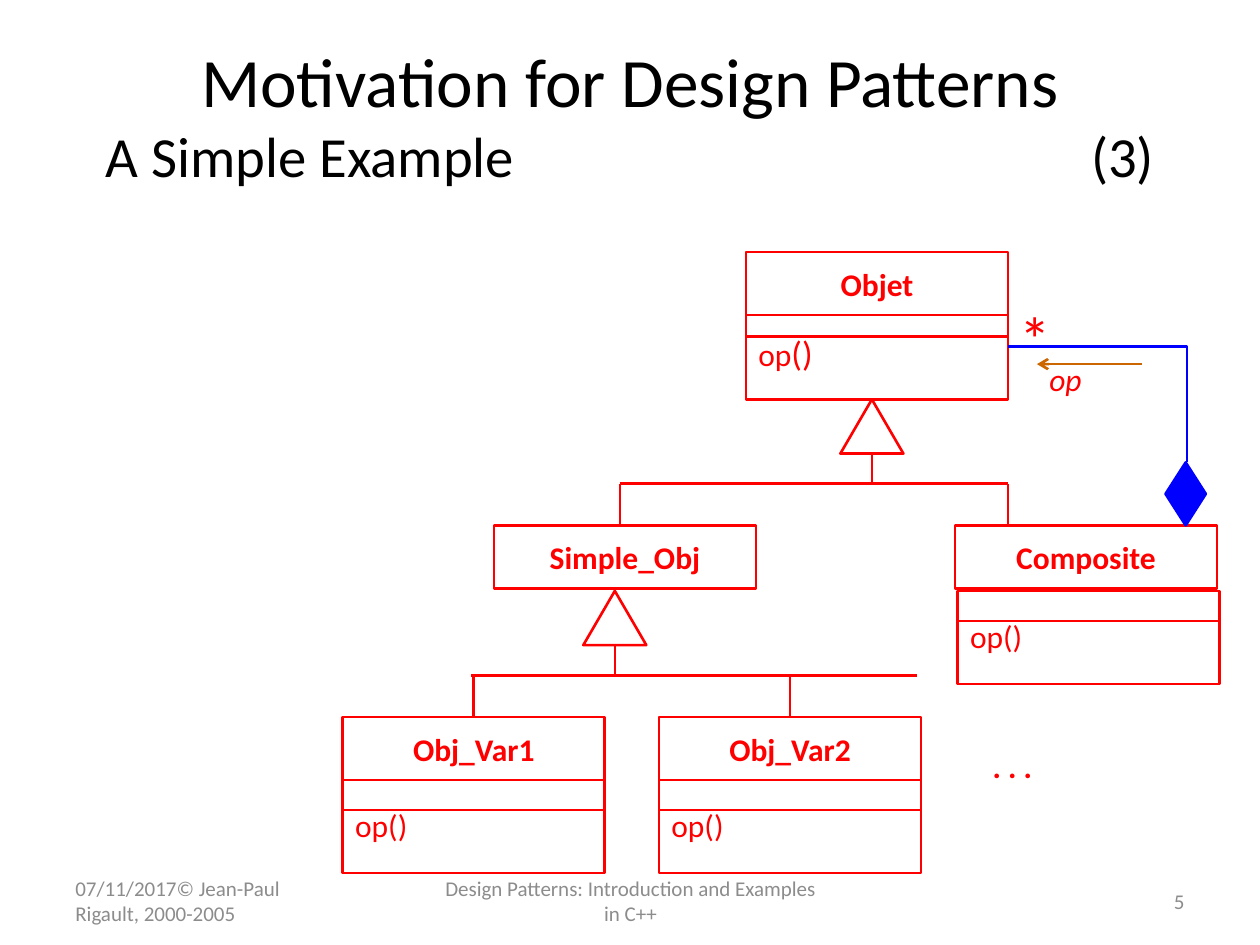
from dataclasses import dataclass

from lxml.etree import SubElement
from pptx import Presentation
from pptx.dml.color import RGBColor
from pptx.enum.shapes import MSO_CONNECTOR as Link, MSO_SHAPE as Preset
from pptx.enum.text import MSO_ANCHOR as Anchor, MSO_AUTO_SIZE as AutoSize, PP_ALIGN as Align
from pptx.oxml.ns import qn
from pptx.util import Pt

PX = 9144


@dataclass(frozen=True)
class Theme:
    font: str = "Calibri"
    ink: str = "000000"
    muted: str = "8C8C8C"
    uml: str = "FF0000"
    link: str = "0000FF"
    message: str = "CC6600"
    title: float = 39.6
    subtitle: float = 32.4
    label: int = 18
    brackets: int = 20
    star: int = 36
    footer: int = 12
    stroke: float = 1.5


class Diagram:
    box_width = 208
    row = 50

    def __init__(self, slide, theme):
        self.slide = slide
        self.theme = theme

    def style_run(self, run, size, color, bold=False, italic=False):
        font = run.font
        font.name, font.size = self.theme.font, Pt(size)
        font.bold, font.italic = bold, italic
        font.color.rgb = RGBColor.from_string(color)

    def outline(self, item, color):
        item.line.color.rgb = RGBColor.from_string(color)
        item.line.width = Pt(self.theme.stroke)

    def title(self, heading, subheading, tab):
        holder = self.slide.shapes.title
        holder.left, holder.top, holder.width, holder.height = (v * PX for v in (50, 30, 900, 125))
        frame = holder.text_frame
        frame.text = f"{heading}\v{subheading}"
        frame.vertical_anchor = Anchor.BOTTOM
        frame.auto_size = AutoSize.NONE
        line = frame.paragraphs[0]
        line.alignment = Align.CENTER
        stops = SubElement(line._p.get_or_add_pPr(), qn("a:tabLst"))
        SubElement(stops, qn("a:tab"), pos=str(tab * PX), algn="r")
        for run, size in zip(line.runs, (self.theme.title, self.theme.subtitle)):
            self.style_run(run, size, self.theme.ink)

    def text(self, words, x, y, width, height, size, color, align=Align.LEFT, wrap=False, **style):
        frame = self.slide.shapes.add_textbox(x * PX, y * PX, width * PX, height * PX).text_frame
        frame.text = words
        frame.word_wrap = wrap
        line = frame.paragraphs[0]
        line.alignment = align
        if wrap:
            frame.vertical_anchor = Anchor.MIDDLE
        else:
            frame.auto_size = AutoSize.SHAPE_TO_FIT_TEXT
            line.space_before = Pt(size * 0.2)
        self.style_run(line.runs[0], size, color, **style)

    def footer(self, words, x, width, align):
        self.text(words, x, 695, width, 40, self.theme.footer, self.theme.muted, align, wrap=True)

    def shape(self, preset, x, y, width, height, color, filled=False):
        item = self.slide.shapes.add_shape(preset, x * PX, y * PX, width * PX, height * PX)
        item.shadow.inherit = False
        if filled:
            item.fill.solid()
            item.fill.fore_color.rgb = RGBColor.from_string(color)
        else:
            item.fill.background()
        self.outline(item, color)
        return item

    def compartment(self, x, y, height):
        return self.shape(Preset.RECTANGLE, x, y, self.box_width, height, self.theme.uml)

    def class_name(self, name, x, y):
        frame = self.compartment(x, y, self.row).text_frame
        frame.text = name
        frame.word_wrap = False
        frame.vertical_anchor = Anchor.MIDDLE
        line = frame.paragraphs[0]
        line.alignment = Align.CENTER
        line.space_before = Pt(self.theme.label * 0.2)
        self.style_run(line.runs[0], self.theme.label, self.theme.uml, bold=True)

    def members(self, x, y, gap, bracket_size):
        self.compartment(x, y, gap)
        frame = self.compartment(x, y + gap, self.row).text_frame
        frame.text = "op"
        frame.word_wrap = False
        frame.vertical_anchor = Anchor.TOP
        line = frame.paragraphs[0]
        line.alignment = Align.LEFT
        line.line_spacing = 0.7
        line.space_before = Pt(self.theme.label * 0.2)
        line.add_run().text = "()"
        for run, size in zip(line.runs, (self.theme.label, bracket_size)):
            self.style_run(run, size, self.theme.uml)

    def line(self, x1, y1, x2, y2, color, arrow=False):
        item = self.slide.shapes.add_connector(Link.STRAIGHT, x1 * PX, y1 * PX, x2 * PX, y2 * PX)
        self.outline(item, color)
        if arrow:
            SubElement(item.line._get_or_add_ln(), qn("a:tailEnd"), type="arrow")
        SubElement(item._element.spPr, qn("a:effectLst"))

    def inheritance(self, apex, top, bar, children):
        color = self.theme.uml
        base, rail, foot = top + 42, top + 67, top + 100
        self.shape(Preset.ISOSCELES_TRIANGLE, apex - 25, top, 50, 43, color)
        self.line(apex, base, apex, rail, color)
        self.line(bar[0], rail, bar[1], rail, color)
        for child in children:
            self.line(child, rail, child, foot, color)

    def aggregation(self, start, *corners):
        diamond = self.shape(Preset.DIAMOND, 916, 376, 50, 32, self.theme.link, filled=True)
        diamond.rotation = 90
        builder = self.slide.shapes.build_freeform(*start, scale=PX)
        builder.add_line_segments(corners, close=False)
        route = builder.convert_to_shape()
        route.shadow.inherit = False
        route.fill.background()
        self.outline(route, self.theme.link)


def main():
    deck = Presentation()
    deck.slide_width, deck.slide_height = 1000 * PX, 750 * PX
    theme = Theme()
    diagram = Diagram(deck.slides.add_slide(deck.slide_layouts[5]), theme)

    diagram.title("Motivation for Design Patterns", "A Simple Example \t(3)", tab=832)
    diagram.footer("07/11/2017© Jean-Paul Rigault, 2000-2005", 50, 233, Align.LEFT)
    diagram.footer("Design Patterns: Introduction and Examples in C++", 342, 317, Align.CENTER)
    diagram.footer("5", 717, 233, Align.RIGHT)

    for name, x, y in (("Objet", 592, 200), ("Simple_Obj", 392, 417), ("Composite", 758, 417),
                       ("Obj_Var1", 272, 569), ("Obj_Var2", 523, 569)):
        diagram.class_name(name, x, y)
    diagram.members(592, 250, 17, theme.brackets)
    for x, y in ((760, 469), (272, 619), (523, 619)):
        diagram.members(x, y, 24, theme.label)

    diagram.inheritance(692, 317, (492, 800), (492, 800))
    diagram.inheritance(488, 469, (374, 728), (376, 627))
    diagram.aggregation((942, 367), (942, 275), (800, 275))
    diagram.line(906, 289, 823, 289, theme.message, arrow=True)

    diagram.text("*", 799, 233, 40, 71, theme.star, theme.uml)
    diagram.text("op", 823, 281, 54, 41, theme.label, theme.uml, italic=True)
    diagram.text(". . .", 778, 588, 55, 41, theme.label, theme.uml, bold=True)

    deck.save("out.pptx")


if __name__ == "__main__":
    main()
